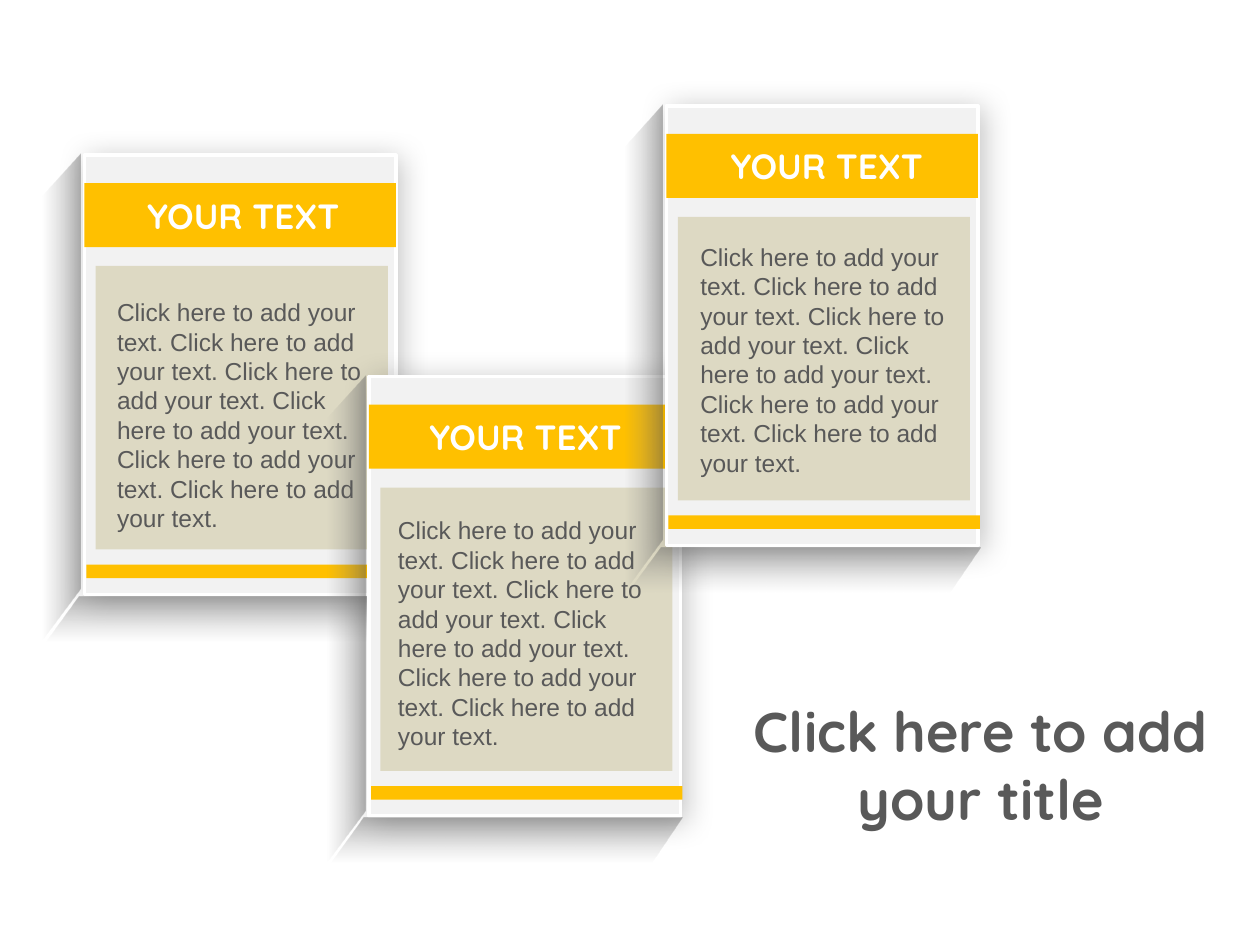
"""Build a slide of three overlapping text cards with cast shadows and a title."""
import pptx
import pptx.dml.color
import pptx.enum.shapes
import pptx.enum.text
import pptx.oxml
import pptx.oxml.ns
import pptx.util

Pt = pptx.util.Pt
Color = pptx.dml.color.RGBColor.from_string
Align = pptx.enum.text.PP_ALIGN
RECTANGLE = pptx.enum.shapes.MSO_SHAPE.RECTANGLE

THEME = {
    "card": "F2F2F2", "edge": "FFFFFF", "accent": "FFC000", "panel": "DDD9C3",
    "text": "595959", "shade": "626262", "fade": "8C8C8C",
    "display": "Quicksand", "body": "Arial",
    "title_size": 32, "heading_size": 20, "body_size": 14,
}
HEADING = "YOUR TEXT"
BODY = " ".join(["Click here to add your text."] * 6)
TITLE = "Click here to add your title"

CARD_WIDTH, CARD_HEIGHT = 178, 251.2
CARDS = [
    {"origin": (48.2, 88.6), "heading": (54, 112.3), "body": (59.8, 166.3)},
    {"origin": (210.8, 215.2), "heading": (215.3, 238.3), "body": (220.3, 290.9)},
    {"origin": (380.8, 60.5), "heading": (387.4, 83.5), "body": (393.1, 134.6)},
]
PARTS = [
    ("card", 0, 0, CARD_WIDTH, CARD_HEIGHT),
    ("accent", 0, 16, CARD_WIDTH, 36.6),
    ("panel", 6.5, 63.4, 167, 162),
    ("accent", 1.2, 234, CARD_WIDTH, 7.8),
]
SHADES = [
    (180, [(-38.2, 39.8), (-2.2, -0.6), (-2.2, 247.8), (-39.6, 298.8)]),
    (270, [(150.5, 294.5), (179.3, 252.2), (-2.8, 252.2), (-35.2, 296.6)]),
]
CARD_SHADOW = (
    f'<a:outerShdw {pptx.oxml.ns.nsdecls("a")} blurRad="{Pt(17)}" dist="{Pt(3)}" '
    'dir="2700000" algn="ctr" rotWithShape="0"><a:srgbClr val="000000">'
    '<a:alpha val="23000"/></a:srgbClr></a:outerShdw>'
)


def write_text(box, text, size, color, font, bold, **paragraph_format):
    frame = box.text_frame
    frame_format = {
        "word_wrap": True,
        "auto_size": pptx.enum.text.MSO_AUTO_SIZE.SHAPE_TO_FIT_TEXT,
        "vertical_anchor": pptx.enum.text.MSO_ANCHOR.TOP,
    }
    for name, value in frame_format.items():
        setattr(frame, name, value)
    para = frame.paragraphs[0]
    for name, value in paragraph_format.items():
        setattr(para, name, value)
    span = para.add_run()
    span.text = text
    for name, value in {"size": Pt(size), "name": font, "bold": bold}.items():
        setattr(span.font, name, value)
    span.font.color.rgb = Color(color)


def fade_out(shape, angle):
    shape.shadow.inherit = False
    shape.line.fill.background()
    shape.fill.gradient()
    shape.fill.gradient_angle = angle
    stops = [(0, THEME["shade"], 48), (0.58, THEME["fade"], 0)]
    for stop, (position, color, opacity) in zip(shape.fill.gradient_stops, stops):
        stop.position = position
        stop.color.rgb = Color(color)
    tag = pptx.oxml.ns.qn("a:srgbClr")
    for element, (position, color, opacity) in zip(shape.element.spPr.iter(tag), stops):
        element.append(pptx.oxml.parse_xml(
            f'<a:alpha {pptx.oxml.ns.nsdecls("a")} val="{opacity * 1000}"/>'))


deck = pptx.Presentation()
deck.slide_width, deck.slide_height = Pt(720), Pt(540)
page = deck.slides.add_slide(deck.slide_layouts[5])

for card in CARDS:
    left, top = card["origin"]
    group = page.shapes.add_group_shape()
    for role, x, y, width, height in PARTS:
        part = group.shapes.add_shape(
            RECTANGLE, Pt(left + x), Pt(top + y), Pt(width), Pt(height))
        part.shadow.inherit = False
        part.fill.solid()
        part.fill.fore_color.rgb = Color(THEME[role])
        if role == "card":
            part.line.color.rgb = Color(THEME["edge"])
            part.line.width = Pt(2)
            effects = part.element.spPr.find(pptx.oxml.ns.qn("a:effectLst"))
            effects.append(pptx.oxml.parse_xml(CARD_SHADOW))
        else:
            part.line.fill.background()
    for angle, corners in SHADES:
        points = [(Pt(left + x), Pt(top + y)) for x, y in corners]
        outline = group.shapes.build_freeform(*points[0])
        outline.add_line_segments(points[1:], close=True)
        fade_out(outline.convert_to_shape(), angle)

for card in CARDS:
    x, y = card["heading"]
    heading = page.shapes.add_textbox(Pt(x), Pt(y), Pt(170), Pt(26.6))
    write_text(heading, HEADING, THEME["heading_size"], THEME["edge"],
               THEME["display"], True, alignment=Align.CENTER, line_spacing=0.8)
    x, y = card["body"]
    body = page.shapes.add_textbox(Pt(x), Pt(y), Pt(158.4), Pt(143.3))
    write_text(body, BODY, THEME["body_size"], THEME["text"], THEME["body"], False,
               alignment=Align.LEFT)

title = page.shapes.title
title_place = {"left": 416.9, "top": 394.6, "width": 287.3, "height": 85}
for name, value in title_place.items():
    setattr(title, name, Pt(value))
write_text(title, TITLE, THEME["title_size"], THEME["text"], THEME["display"], True,
           alignment=Align.CENTER)

deck.save("out.pptx")
